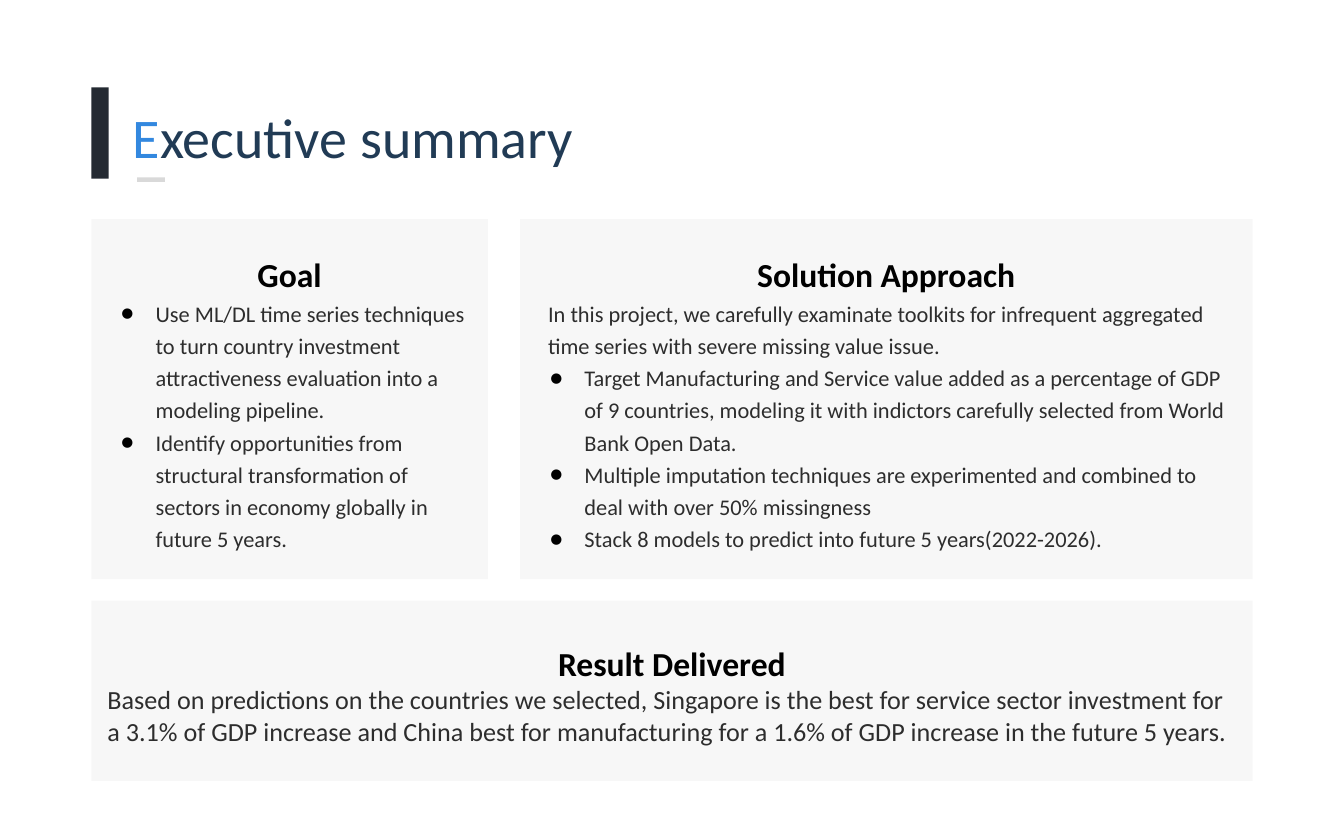
from pptx import Presentation
from pptx.dml.color import RGBColor
from pptx.enum.shapes import MSO_CONNECTOR, MSO_SHAPE
from pptx.enum.text import MSO_ANCHOR, PP_ALIGN
from pptx.oxml.ns import qn
from pptx.util import Pt
from lxml.etree import SubElement

PX = 9144  # EMU per px, 100 px to the inch
FONT = "Calibri"
WHITE = RGBColor(0xFF, 0xFF, 0xFF)
BLACK = RGBColor(0, 0, 0)
GREY = RGBColor(0xD9, 0xD9, 0xD9)
DARK = RGBColor(0x24, 0x2A, 0x32)
NAVY = RGBColor(0x21, 0x3B, 0x55)
BLUE = RGBColor(0x33, 0x88, 0xDF)
BODY = RGBColor(0x2D, 0x2D, 0x2D)

LEFT, RIGHT = 68, 932
TOP, CARD_H = 163, 268
GOAL_W, APPROACH_X = 295, 387


class Deck:
    def __init__(self, slide):
        self.s = slide

    def style(self, r, size, color, bold=False):
        r.font.name = FONT
        r.font.size = Pt(size)
        r.font.bold = bold
        r.font.color.rgb = color

    def rect(self, x, y, w, h, color, alpha=None):
        """Borderless rectangle; alpha is the opacity in percent."""
        sp = self.s.shapes.add_shape(MSO_SHAPE.RECTANGLE, x * PX, y * PX, w * PX, h * PX)
        sp.shadow.inherit = False
        sp.line.fill.background()
        sp.fill.solid()
        sp.fill.fore_color.rgb = color
        if alpha is not None:
            clr = sp.element.spPr.find(qn("a:solidFill"))[0]
            SubElement(clr, qn("a:alpha"), val=str(alpha * 1000))
        return sp

    def line(self, x1, x2, y, color, width):
        cn = self.s.shapes.add_connector(MSO_CONNECTOR.STRAIGHT, x1 * PX, y * PX, x2 * PX, y * PX)
        cn.line.color.rgb = color
        cn.line.width = Pt(width)
        SubElement(cn.element.spPr, qn("a:effectLst"))

    def title(self, x, y, w, h, text):
        """Title with its first letter picked out in blue."""
        tf = self.rect(x, y, w, h, WHITE).text_frame
        tf.word_wrap = True
        tf.vertical_anchor = MSO_ANCHOR.TOP
        p = tf.paragraphs[0]
        p.alignment = PP_ALIGN.LEFT
        for part, color in ((text[0], BLUE), (text[1:], NAVY)):
            r = p.add_run()
            r.text = part
            self.style(r, 30, color)

    def indent(self, p, left, first=0, bullet=False):
        pPr = p._p.get_or_add_pPr()
        pPr.set("marL", str(left * PX))
        pPr.set("indent", str(first * PX))
        if bullet:
            clr = SubElement(pPr, qn("a:buClr"))
            SubElement(clr, qn("a:srgbClr"), val=str(BLACK))
            SubElement(pPr, qn("a:buFont"), typeface=FONT)
            SubElement(pPr, qn("a:buChar"), char="●")

    def card(self, x, y, w, h, heading, intro="", bullets=(), size=12,
             inset=(10, 10), intro_indent=0, spacing=1.2):
        tf = self.rect(x, y, w, h, GREY, alpha=19).text_frame
        tf.word_wrap = True
        tf.vertical_anchor = MSO_ANCHOR.MIDDLE
        tf.margin_left = tf.margin_right = inset[0] * PX
        tf.margin_top = tf.margin_bottom = inset[1] * PX
        p = tf.paragraphs[0]
        p.text = heading
        p.alignment = PP_ALIGN.CENTER
        p.line_spacing = 1.2
        self.style(p.runs[0], 18, BLACK, bold=True)
        items = [(intro, False)] if intro else []
        items += [(text, True) for text in bullets]
        for text, bullet in items:
            p = tf.add_paragraph()
            p.text = text
            if bullet:
                self.indent(p, 38, -26, bullet=True)
            else:
                self.indent(p, intro_indent)
            p.alignment = PP_ALIGN.LEFT
            p.line_spacing = spacing
            self.style(p.runs[0], size, BODY)


def main():
    prs = Presentation()
    prs.slide_width, prs.slide_height = 1000 * PX, 625 * PX
    deck = Deck(prs.slides.add_slide(prs.slide_layouts[6]))

    deck.line(102, 123, 133, GREY, 3)
    deck.title(89, 71, 539, 61, "Executive summary")
    deck.rect(LEFT, 65, 13, 68, DARK)

    deck.card(LEFT, TOP, GOAL_W, CARD_H, "Goal", bullets=(
        "Use ML/DL time series techniques to turn country investment "
        "attractiveness evaluation into a modeling pipeline.",
        "Identify opportunities from structural transformation of sectors "
        "in economy globally in future 5 years.",
    ))
    deck.card(
        APPROACH_X, TOP, RIGHT - APPROACH_X, CARD_H, "Solution Approach",
        intro="In this project, we carefully examinate toolkits for infrequent "
              "aggregated time series with severe missing value issue.",
        intro_indent=11,
        bullets=(
            "Target Manufacturing and Service value added as a percentage of GDP "
            "of 9 countries, modeling it with indictors carefully selected from "
            "World Bank Open Data.",
            "Multiple imputation techniques are experimented and combined to deal "
            "with over 50% missingness",
            "Stack 8 models to predict into future 5 years(2022-2026).",
        ))
    deck.card(
        LEFT, 447, RIGHT - LEFT, 134, "Result Delivered",
        intro="Based on predictions on the countries we selected, Singapore is the "
              "best for service sector investment for a 3.1% of GDP increase and "
              "China best for manufacturing for a 1.6% of GDP increase in the "
              "future 5 years.",
        size=14, inset=(12, 5), spacing=1.0)

    prs.save("out.pptx")


if __name__ == "__main__":
    main()
